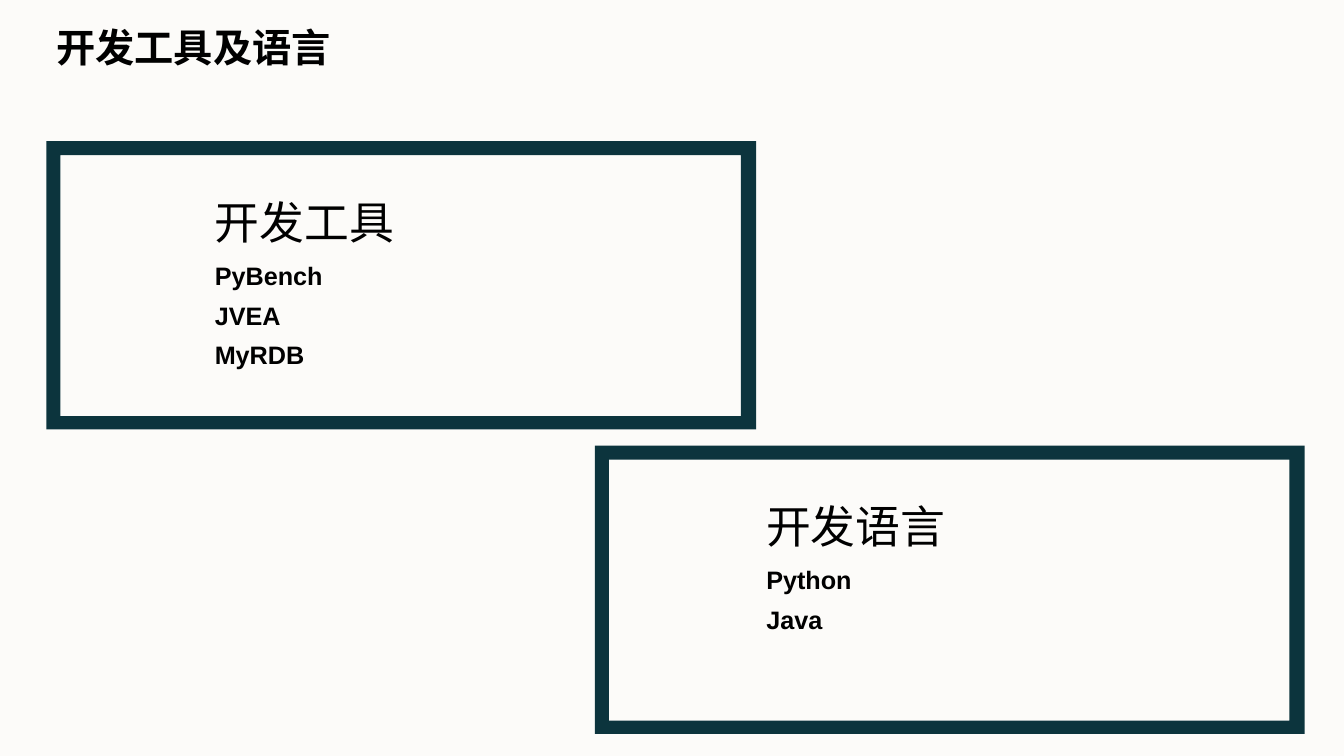
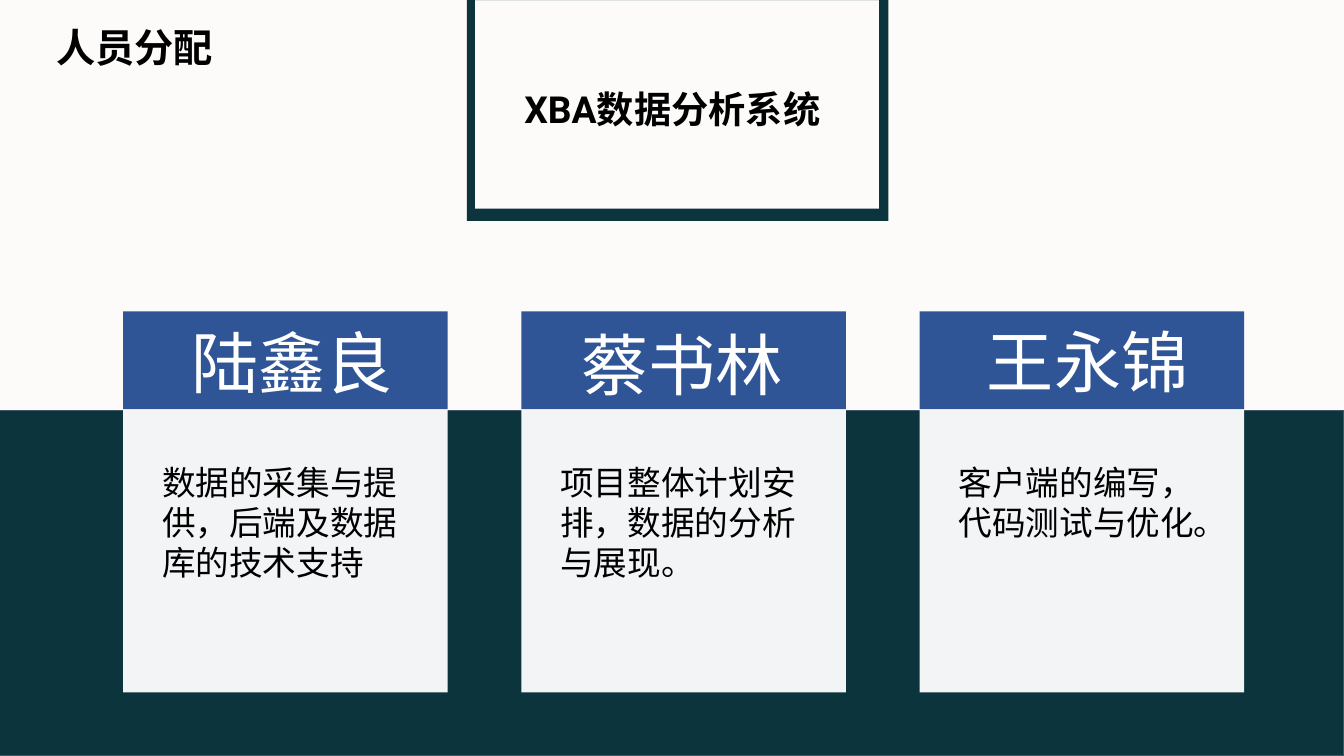
from dataclasses import dataclass

from pptx import Presentation
from pptx.dml.color import RGBColor
from pptx.enum import shapes, text
from pptx.oxml import ns, xmlchemy
from pptx.util import Inches, Pt


@dataclass(frozen=True)
class Theme:
    paper: str = "FCFBF9"
    dark: str = "0C343D"
    edge: str = "44546A"
    blue: str = "2F5597"
    white: str = "FFFFFF"
    black: str = "000000"
    sans: str = "Roboto"
    list_font: str = "Arial"
    title: float = 28
    heading: float = 32
    list_item: float = 18
    list_spacing: float = 1.31
    project: float = 26.6
    name: float = 48
    duty: float = 24


THEME = Theme()
SLIDE_WIDTH, SLIDE_HEIGHT = 13.33, 7.5
LAYOUT_TWO_CONTENT, LAYOUT_TITLE_ONLY = 3, 5


def place(shape, left, top, width, height):
    shape.left, shape.top = Inches(left), Inches(top)
    shape.width, shape.height = Inches(width), Inches(height)


def write(box, lines, size, color=THEME.black, font=THEME.sans, bold=False,
          align=text.PP_ALIGN.LEFT, spacing=None):
    """Fill a text box or placeholder with one plain paragraph per line."""
    frame = box.text_frame
    frame.word_wrap = True
    frame.auto_size = text.MSO_AUTO_SIZE.NONE
    frame.vertical_anchor = text.MSO_ANCHOR.TOP
    for index, line in enumerate(lines):
        para = frame.add_paragraph() if index else frame.paragraphs[0]
        para.alignment = align
        para.space_before = Pt(0)
        if spacing:
            para.line_spacing = spacing
        span = para.add_run()
        span.text = line
        span.font.name = font
        span.font.size = Pt(size)
        span.font.bold = bold
        span.font.color.rgb = RGBColor.from_string(color)
        east_asian = xmlchemy.OxmlElement("a:ea")
        east_asian.set("typeface", font)
        span.font._element.find(ns.qn("a:latin")).addnext(east_asian)


def add_text(page, area, line, size, **style):
    box = page.shapes.add_textbox(*map(Inches, area))
    write(box, [line], size, **style)


def paint(shape, fill, line=None, opacity=None):
    shape.shadow.inherit = False
    shape.fill.solid()
    shape.fill.fore_color.rgb = RGBColor.from_string(fill)
    if opacity is not None:
        alpha = xmlchemy.OxmlElement("a:alpha")
        alpha.set("val", str(opacity * 1000))
        color = shape.element.spPr.find(ns.qn("a:solidFill"))[0]
        color.append(alpha)
    if line:
        shape.line.color.rgb = RGBColor.from_string(line)
        shape.line.width = Pt(0.75)
    else:
        shape.line.fill.background()


def add_block(page, area, fill, **style):
    block = page.shapes.add_shape(shapes.MSO_SHAPE.RECTANGLE, *map(Inches, area))
    paint(block, fill, **style)


def add_frame(page, area, bands):
    """Draw a hollow rectangle; bands are its left, top, right, bottom widths."""
    left, top, width, height = area
    right, bottom = left + width, top + height
    band_left, band_top, band_right, band_bottom = bands
    inner_left, inner_top = left + band_left, top + band_top
    inner_right, inner_bottom = right - band_right, bottom - band_bottom
    outer = [(left, top), (right, top), (right, bottom), (left, bottom)]
    inner = [(inner_left, inner_top), (inner_left, inner_bottom),
             (inner_right, inner_bottom), (inner_right, inner_top)]
    outer, inner = ([(Inches(x), Inches(y)) for x, y in ring]
                    for ring in (outer, inner))
    builder = page.shapes.build_freeform(*outer[0])
    builder.add_line_segments(outer[1:], close=True)
    builder.move_to(*inner[0])
    builder.add_line_segments(inner[1:], close=True)
    paint(builder.convert_to_shape(), THEME.dark)


def add_page(deck, layout, title):
    page = deck.slides.add_slide(deck.slide_layouts[layout])
    place(page.shapes.title, 0.46, 0.18, 5.1, 0.57)
    write(page.shapes.title, [title], THEME.title, bold=True)
    return page


def fill_list(box, area, items):
    place(box, *area)
    write(box, items, THEME.list_item, font=THEME.list_font, bold=True,
          spacing=THEME.list_spacing)
    for para in box.text_frame.paragraphs:
        properties = para._p.get_or_add_pPr()
        properties.set("marL", "0")
        properties.set("indent", "0")
        properties.append(xmlchemy.OxmlElement("a:buNone"))


def add_panel(page, body, left, top, text_left, heading, items):
    """Frame a heading and the list held by a body placeholder."""
    add_frame(page, (left, top, 7.04, 2.86), (0.14, 0.14, 0.15, 0.13))
    add_text(page, (text_left, top + 0.48, 3.21, 0.57), heading, THEME.heading)
    fill_list(body, (text_left, top + 1.04, 4.75, 1.31), items)


def add_member(page, left, name_offset, name_top, name, duty):
    width = 3.22
    add_block(page, (left, 3.09, width, 0.97), THEME.blue)
    add_block(page, (left, 4.07, width, 2.8), THEME.white, opacity=95)
    add_text(page, (left + 0.29, 4.53, 2.64, 1.37), duty, THEME.duty)
    add_text(page, (left + name_offset, name_top, 2.24, 0.91), name,
             THEME.name, color=THEME.white)


def build_tools_page(deck):
    page = add_page(deck, LAYOUT_TWO_CONTENT, "开发工具及语言")
    tools, languages = page.placeholders[1], page.placeholders[2]
    add_panel(page, languages, 5.9, 4.42, 7.5, "开发语言", ["Python", "Java"])
    add_panel(page, tools, 0.46, 1.4, 2.03, "开发工具",
              ["PyBench", "JVEA", "MyRDB"])


def build_team_page(deck):
    page = add_page(deck, LAYOUT_TITLE_ONLY, "人员分配")
    band_top = 4.07
    add_block(page, (0, band_top, SLIDE_WIDTH, SLIDE_HEIGHT - band_top),
              THEME.dark, line=THEME.edge)
    members = [
        (0.58, 3.14, "陆鑫良", "数据的采集与提供，后端及数据库的技术支持"),
        (0.5, 3.16, "蔡书林", "项目整体计划安排，数据的分析与展现。"),
        (0.57, 3.13, "王永锦", "客户端的编写，代码测试与优化。"),
    ]
    for index, member in enumerate(members):
        add_member(page, 1.22 + index * 3.95, *member)
    add_frame(page, (4.63, 0, 4.18, 2.19), (0.08, 0, 0.09, 0.12))
    add_text(page, (4.89, 0.81, 3.56, 0.55), "XBA数据分析系统",
             THEME.project, bold=True, align=text.PP_ALIGN.CENTER)


def main():
    deck = Presentation()
    deck.slide_width, deck.slide_height = Inches(SLIDE_WIDTH), Inches(SLIDE_HEIGHT)
    background = deck.slide_master.background.fill
    background.solid()
    background.fore_color.rgb = RGBColor.from_string(THEME.paper)
    build_tools_page(deck)
    build_team_page(deck)
    deck.save("out.pptx")


if __name__ == "__main__":
    main()
